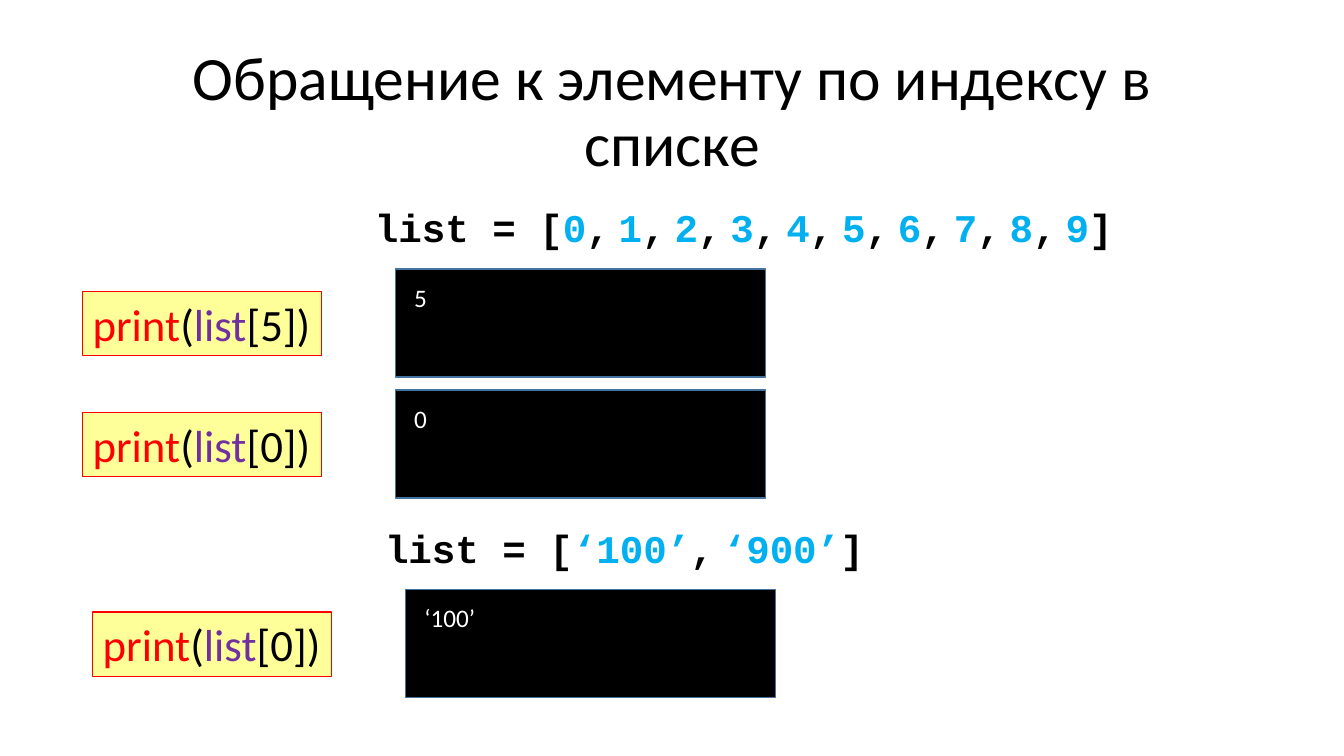
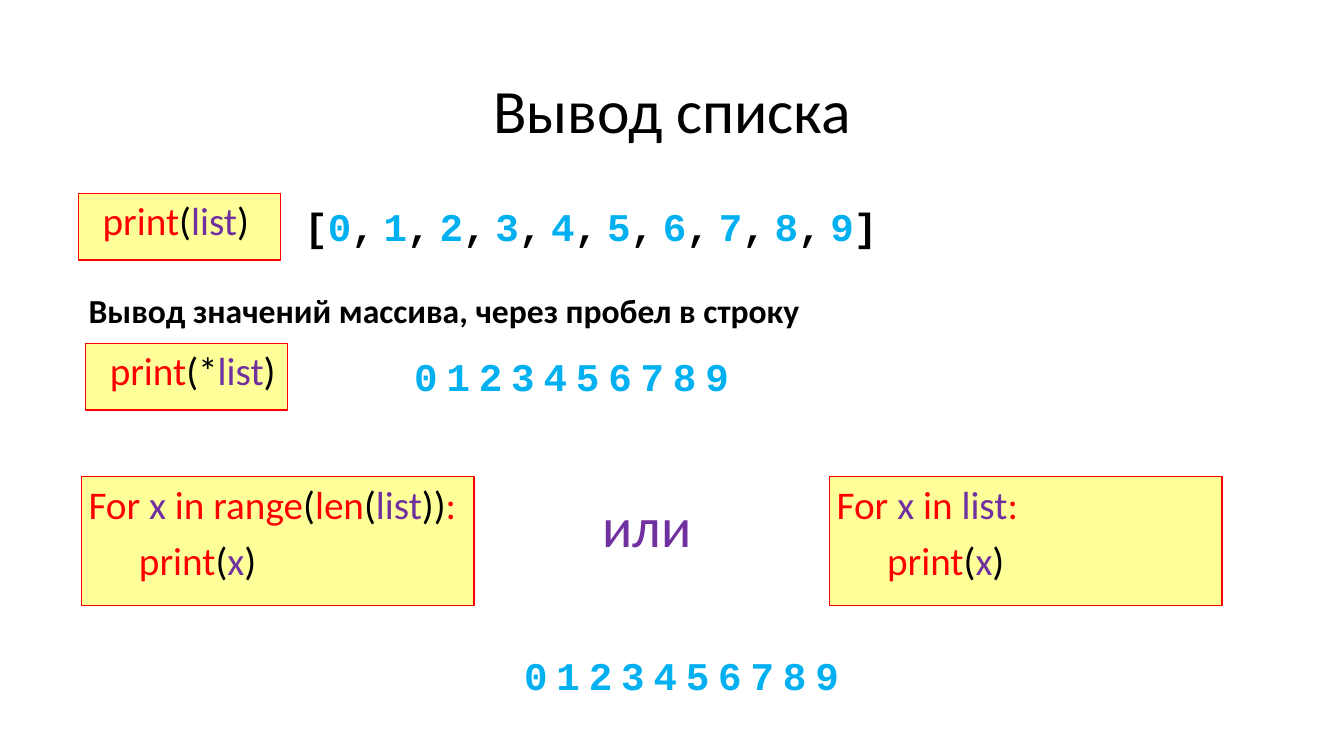
from pptx import Presentation, util as u
from pptx.dml.color import RGBColor
from pptx.enum import shapes, text

# Content: a line of text is a list of (words, colour) parts
INK, RED, PLUM, SKY = "000000", "FF0000", "7030A0", "00B0F0"
WHITE, CREAM, STEEL = "FFFFFF", "FFFF99", "43739E"
SANS, MONO = "Calibri", "Courier New"
DIGITS = list("0123456789")
TITLES = ["Обращение к элементу по индексу в списке", "Вывод списка"]
NOTE = "Вывод значений массива, через пробел в строку"


def call(pre, arg, post):
    return [("print", RED), (pre, INK), (arg, PLUM), (post, INK)]


def series(head, items):
    parts = [(head + "[", INK)]
    for n, item in enumerate(items):
        if n:
            parts += [(",", INK), (" ", INK)]
        parts.append((item, SKY))
    return parts + [("]", INK)]


SPACED = [(c, SKY) for c in " ".join(DIGITS)]
BODY = [("\tprint", RED), ("(", INK), ("x", PLUM), (")", INK)]

# left, top, list items shown above (or None), index, output
LOOKUPS = [
    (0.82, 2.89, DIGITS, "5", "5"),
    (0.82, 4.09, None, "0", "0"),
    (0.92, 6.07, ["‘100’", "‘900’"], "0", "‘100’"),
]
# left, top, code
PRINTS = [
    (0.78, 1.92, call("(", "list", ")")),
    (0.85, 3.41, call("(*", "list", ")")),
]
# left, first line of the loop
LOOPS = [
    (0.81, [("For ", RED), ("x", PLUM), (" in range", RED), ("(", INK),
            ("len", RED), ("(", INK), ("list", PLUM), ("))", INK),
            (":", RED)]),
    (8.23, [("For ", RED), ("x", PLUM), (" in ", RED), ("list", PLUM),
            (":", RED)]),
]
# left, top, width, parts
ROWS = [
    (2.92, 1.96, 5.94, series("", DIGITS)),
    (4.01, 3.45, 3.36, SPACED),
    (5.1, 6.41, 3.36, SPACED),
]

# Drawing helpers
deck = Presentation()
deck.slide_width, deck.slide_height = u.Inches(13.33), u.Inches(7.5)


def paint(code):
    return RGBColor.from_string(code)


def box(page, at, fill=CREAM, edge=RED):
    form = page.shapes.add_shape(shapes.MSO_SHAPE.RECTANGLE,
                                 *map(u.Inches, at))
    form.shadow.inherit = False
    form.fill.solid()
    form.fill.fore_color.rgb = paint(fill)
    form.line.color.rgb = paint(edge)
    form.line.width = u.Pt(1)


def write(page, at, lines, size, font=SANS, bold=False, wrap=True,
          grow=True, space=None, gap=None):
    frame = page.shapes.add_textbox(*map(u.Inches, at)).text_frame
    frame.word_wrap = wrap
    fit = text.MSO_AUTO_SIZE
    frame.auto_size = fit.SHAPE_TO_FIT_TEXT if grow else fit.NONE
    for n, parts in enumerate(lines):
        para = frame.add_paragraph() if n else frame.paragraphs[0]
        para.font.size, para.font.bold = u.Pt(size), bold
        para.font.name = font
        if space:
            para.line_spacing = space
        if gap:
            para.space_before = u.Pt(gap)
        for words, hue in parts:
            run = para.add_run()
            run.text = words
            run.font.color.rgb = paint(hue)
            if words == " ":  # narrow gap between list items
                run.font.name = SANS
    return frame


def row(page, left, top, width, parts):
    write(page, (left, top, width, 0.57), [parts], 28, MONO, True, wrap=False)


def start(title):
    page = deck.slides.add_slide(deck.slide_layouts[6])
    frame = write(page, (0.92, 0.4, 11.5, 1.45), [[(title, INK)]], 44,
                  grow=False, space=0.9)
    frame.vertical_anchor = text.MSO_ANCHOR.MIDDLE
    frame.paragraphs[0].alignment = text.PP_ALIGN.CENTER
    return page


# Slide 1: each lookup is a code card beside a console
page = start(TITLES[0])
for left, top, items, index, out in LOOKUPS:
    if items:
        width = 7.58 if items is DIGITS else 4.99
        row(page, left + 2.8, top - 0.92, width, series("list = ", items))
    box(page, (left, top, 2.37, 0.64))
    write(page, (left, top, 3.7, 0.64), [call("(", "list", f"[{index}])")], 32)
    box(page, (left + 3.1, top - 0.22, 3.67, 1.07), INK, STEEL)
    write(page, (left + 3.19, top - 0.14, 1.02, 0.4), [[(out, WHITE)]], 18)

# Slide 2: ways to print a list
page = start(TITLES[1])
for left, top, code in PRINTS:
    box(page, (left, top, 2, 0.66))
    write(page, (left + 0.14, top + 0.07, 2.69, 0.5), [code], 28,
          grow=False, space=0.8, gap=10)
for spot in ROWS:
    row(page, *spot)
write(page, (0.78, 2.83, 7.9, 0.5), [[(NOTE, INK)]], 24, bold=True)
for left, head in LOOPS:
    box(page, (left, 4.73, 3.89, 1.28))
    write(page, (left - 0.03, 4.77, 4.05, 1.24), [head, BODY], 28,
          grow=False, space=0.9, gap=10)
write(page, (5.88, 4.83, 1.94, 0.77), [[("или", PLUM)]], 40)

deck.save("out.pptx")
